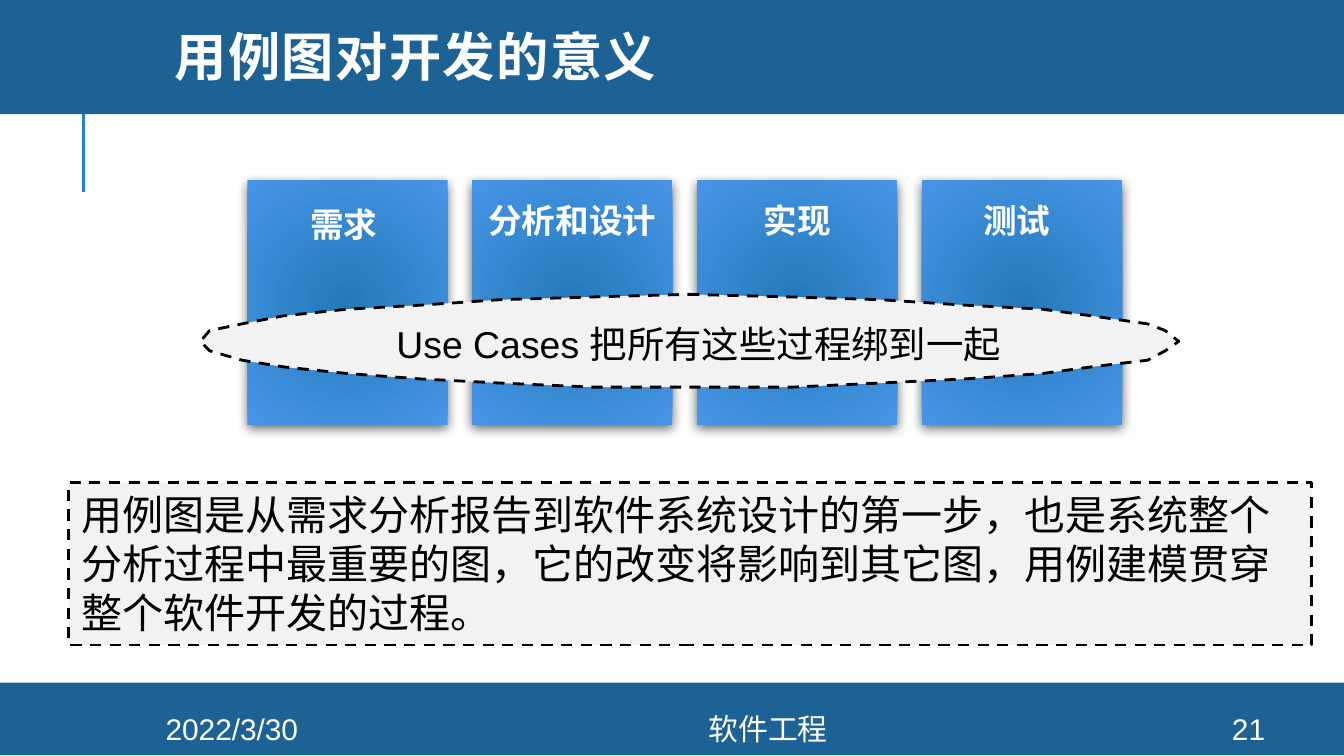
import pptx
import pptx.util
import pptx.dml.color
import pptx.enum.dml
import pptx.enum.shapes
import pptx.enum.text
import pptx.oxml
import pptx.oxml.ns
from dataclasses import dataclass

Inches = pptx.util.Inches
Pt = pptx.util.Pt
Align = pptx.enum.text.PP_ALIGN
Anchor = pptx.enum.text.MSO_ANCHOR
Rect = pptx.enum.shapes.MSO_SHAPE.RECTANGLE
NS = pptx.oxml.ns.nsdecls("a")


@dataclass(frozen=True)
class Theme:
    bar: str = "1D6294"
    rule: str = "2683C6"
    core: str = "237AB8"
    edge: str = "4895E7"
    pale: str = "F2F2F2"
    white: str = "FFFFFF"
    black: str = "000000"
    body: str = "Arial"
    head: str = "Montserrat"
    title: int = 28
    note: int = 22
    band: int = 20
    label: int = 18
    foot: int = 16


T = Theme()


def color(code):
    return pptx.dml.color.RGBColor.from_string(code)


def paint(shape, fill, dashed=False):
    shape.shadow.inherit = False
    shape.fill.solid()
    shape.fill.fore_color.rgb = color(fill)
    if dashed:
        shape.line.color.rgb = color(T.black)
        shape.line.width = Pt(1.5)
        shape.line.dash_style = pptx.enum.dml.MSO_LINE.DASH
    else:
        shape.line.fill.background()


def add_rect(slide, box):
    return slide.shapes.add_shape(Rect, *map(Inches, box))


def write(shape, text, size, ink, align=Align.CENTER, anchor=Anchor.TOP,
          pad=(0.1, 0.05), bold=False, face=T.body):
    frame = shape.text_frame
    frame.word_wrap = True
    frame.vertical_anchor = anchor
    frame.margin_left = frame.margin_right = Inches(pad[0])
    frame.margin_top = frame.margin_bottom = Inches(pad[1])
    para = frame.paragraphs[0]
    para.alignment = align
    run = para.add_run()
    run.text = text
    run.font.size = Pt(size)
    run.font.name = face
    run.font.bold = bold
    run.font.color.rgb = color(ink)
    return para


def add_text(slide, box, *args, **style):
    return write(slide.shapes.add_textbox(*map(Inches, box)), *args, **style)


def header(slide, box, text):
    left, top, width, height = box
    x, y = Inches(left + 0.62), top + height
    rule = slide.shapes.add_connector(
        pptx.enum.shapes.MSO_CONNECTOR.STRAIGHT,
        x, Inches(y + 0.58), x, Inches(y - 0.17))
    rule.line.color.rgb = color(T.rule)
    rule.line.width = Pt(1.5)
    rule._element.spPr.append(pptx.oxml.parse_xml(f"<a:effectLst {NS}/>"))
    paint(add_rect(slide, box), T.bar)
    para = add_text(slide, (left + 1.2, top + 0.03, 8.49, 0.91), text,
                    T.title, T.white, align=Align.LEFT,
                    anchor=Anchor.MIDDLE, bold=True, face=T.head)
    para.line_spacing = 0.8
    para.runs[0].font._element.set("spc", "80")


def footer(slide, box, items):
    left, top = box[:2]
    paint(add_rect(slide, box), T.bar)
    for text, x, width in items:
        add_text(slide, (left + x, top + 0.23, width, 0.23), text,
                 T.foot, T.white, anchor=Anchor.MIDDLE)


def card(slide, box, text, dx, dy, width):
    left, top = box[:2]
    shape = add_rect(slide, box)
    paint(shape, T.edge)
    props = shape._element.spPr
    solid = props.find(pptx.oxml.ns.qn("a:solidFill"))
    props.replace(solid, pptx.oxml.parse_xml(
        f'<a:gradFill {NS} rotWithShape="1"><a:gsLst>'
        f'<a:gs pos="0"><a:srgbClr val="{T.core}"/></a:gs>'
        f'<a:gs pos="100000"><a:srgbClr val="{T.edge}"/></a:gs></a:gsLst>'
        '<a:path path="circle"><a:fillToRect l="100000" t="100000" '
        'r="100000" b="100000"/></a:path></a:gradFill>'))
    props.find(pptx.oxml.ns.qn("a:effectLst")).append(pptx.oxml.parse_xml(
        f'<a:outerShdw {NS} blurRad="{Pt(6)}" dist="{Pt(2)}" dir="5400000" '
        f'rotWithShape="0"><a:srgbClr val="{T.black}">'
        '<a:alpha val="60000"/></a:srgbClr></a:outerShdw>'))
    add_text(slide, (left + dx, top + dy, width, 0.37), text,
             T.label, T.white, pad=(0.07, 0.04), bold=True)


def cards(slide, box, items):
    left, top, width, height = box
    wide = 1.49
    step = (width - wide) / (len(items) - 1)
    for i, item in enumerate(items):
        card(slide, (left + i * step, top, wide, height), *item)


def band(slide, box, text):
    left, top = box[:2]
    east = (3.63, 4.41, 5.06, 5.68, 6.26, 6.63, 7.05, 7.18, 7.28)
    west = (3.63, 2.91, 2.23, 1.65, 1.1, 0.62, 0.31, 0.07, 0)
    high = (0, 0.02, 0.04, 0.08, 0.11, 0.16, 0.22, 0.27, 0.35)
    low = (0.69, 0.69, 0.66, 0.63, 0.59, 0.54, 0.49, 0.42, 0.35)
    ring = [*zip(east, high), *reversed([*zip(east, low)][:-1]),
            *[*zip(west, low)][1:], *reversed([*zip(west, high)][1:-1])]
    points = [(Inches(left + x), Inches(top + y)) for x, y in ring]
    path = slide.shapes.build_freeform(*points[0], scale=1.0)
    path.add_line_segments(points[1:], close=True)
    paint(path.convert_to_shape(), T.pale, dashed=True)
    add_text(slide, (left + 0.91, top + 0.16, 5.6, 0.75), text,
             T.band, T.black, pad=(0.07, 0.04))


def note(slide, box, text):
    shape = add_rect(slide, box)
    paint(shape, T.pale, dashed=True)
    write(shape, text, T.note, T.black, align=Align.LEFT)


def main():
    deck = pptx.Presentation()
    deck.slide_width = Inches(10)
    deck.slide_height = deck.slide_width * 9 // 16
    slide = deck.slides.add_slide(deck.slide_layouts[6])
    header(slide, (0, -0.03, 10, 0.88), "用例图对开发的意义")
    cards(slide, (1.84, 1.34, 6.51, 1.82), [
        ("需求", -0.23, 0.14, 1.9),
        ("分析和设计", -0.13, 0.11, 1.75),
        ("实现", -0.28, 0.11, 2.05),
        ("测试", -0.17, 0.11, 1.75),
    ])
    band(slide, (1.49, 2.19, 7.28, 0.69), "Use Cases 把所有这些过程绑到一起")
    note(slide, (0.51, 3.59, 9.25, 1.21),
         "用例图是从需求分析报告到软件系统设计的第一步，也是系统整个分析过程中最重要的图，"
         "它的改变将影响到其它图，用例建模贯穿整个软件开发的过程。")
    footer(slide, (0, 5.08, 10, 0.54), [
        ("2022/3/30", 0.84, 1.77),
        ("软件工程", 2.61, 6.21),
        ("21", 8.89, 0.8),
    ])
    deck.save("out.pptx")


if __name__ == "__main__":
    main()
